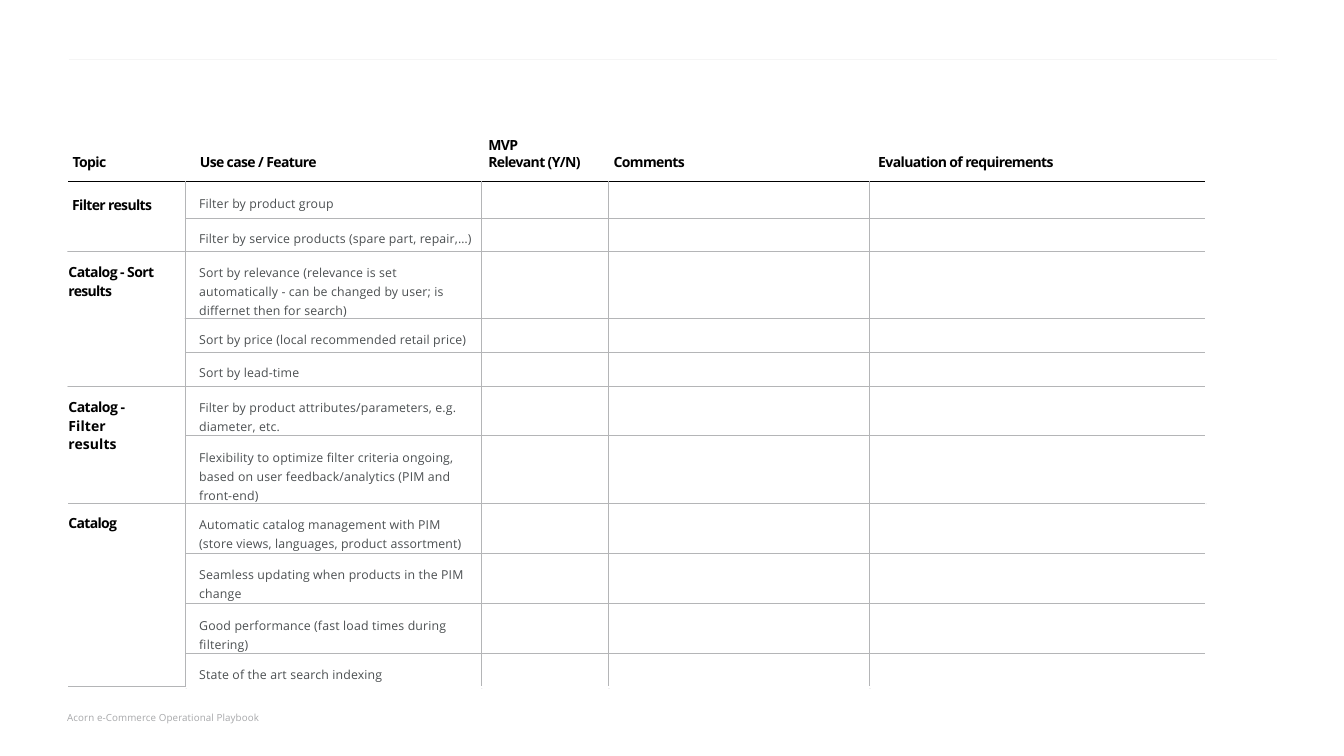
"""Build the catalog requirements checklist slide."""
from lxml.etree import SubElement
from pptx import Presentation
from pptx.dml.color import RGBColor
from pptx.enum.shapes import MSO_CONNECTOR as CONNECTOR, MSO_SHAPE as SHAPE
from pptx.oxml.ns import qn
from pptx.util import Inches, Pt

BLACK = RGBColor(0, 0, 0)
BODY = RGBColor(0x4B, 0x4F, 0x51)
RULE = RGBColor(0xB4, 0xB5, 0xB7)
FOOTER = RGBColor(0xA7, 0xA8, 0xAA)
PALE = RGBColor(0xF5, 0xF5, 0xF5)


def write(tf, text, size=16.5, color=BLACK, bold=True, spacings=(-0.7,), leading=None):
    p = tf.paragraphs[0]
    p.line_spacing = leading
    for i, line in enumerate(text.split("\n")):
        if i:
            p.add_line_break()
        r = p.add_run()
        r.text = line
        r.font.name, r.font.size, r.font.bold = "Open Sans", Pt(size), bold
        r.font.color.rgb = color
        spacing = spacings[min(i, len(spacings) - 1)]
        r.font._element.set("spc", str(round(spacing * 100)))


def set_border(cell, side, color):
    ln = SubElement(cell._tc.get_or_add_tcPr(), qn(f"a:ln{side}"), w=str(Pt(1)))
    if color is None:
        SubElement(ln, qn("a:noFill"))
    else:
        fill = SubElement(ln, qn("a:solidFill"))
        SubElement(fill, qn("a:srgbClr"), val=str(color))


prs = Presentation()
prs.slide_width, prs.slide_height = Inches(21.99), Inches(12.37)
s = prs.slides.add_slide(prs.slide_layouts[6])

line = s.shapes.add_connector(CONNECTOR.STRAIGHT, Inches(1.13), Inches(0.96), Inches(20.89), Inches(0.96))
line.line.color.rgb, line.line.width = PALE, Pt(0.25)
SubElement(line._element.spPr, qn("a:effectLst"))

HEADING = {}
labels = [
    ("Topic", 1.18, 2.51, 0.8, 0.3, HEADING),
    ("Use case / Feature", 3.26, 2.51, 2.3, 0.3, HEADING),
    ("MVP\nRelevant (Y/N)", 7.98, 2.23, 1.8, 0.58, {"leading": Pt(19.8)}),
    ("Comments", 10.03, 2.51, 1.5, 0.3, HEADING),
    ("Evaluation of requirements", 14.36, 2.51, 3.3, 0.3, HEADING),
    ("Acorn e-Commerce Operational Playbook", 1.09, 11.64, 3.6, 0.25,
     {"size": 11.5, "color": FOOTER, "bold": False, "spacings": (0.1,)}),
]
for text, left, top, width, height, style in labels:
    tf = s.shapes.add_textbox(Inches(left), Inches(top), Inches(width), Inches(height)).text_frame
    tf.word_wrap = True
    tf.margin_left = tf.margin_top = Inches(0.01)
    tf.margin_right = tf.margin_bottom = 0
    write(tf, text, **style)

col_widths = [1.92, 4.83, 2.09, 4.26, 5.49]
features = [
    (0.61, 0.24, "Filter by product group"),
    (0.54, 0.2, "Filter by service products (spare part, repair,…)"),
    (1.1, 0.18, "Sort by relevance (relevance is set\nautomatically - can be changed by user; is\n"
                "differnet then for search)"),
    (0.56, 0.22, "Sort by price (local recommended retail price)"),
    (0.55, 0.2, "Sort by lead-time"),
    (0.81, 0.17, "Filter by product attributes/parameters, e.g.\ndiameter, etc."),
    (1.1, 0.18, "Flexibility to optimize filter criteria ongoing,\nbased on user feedback/analytics (PIM and\n"
                "front-end)"),
    (0.82, 0.18, "Automatic catalog management with PIM\n(store views, languages, product assortment)"),
    (0.82, 0.18, "Seamless updating when products in the PIM\nchange"),
    (0.82, 0.2, "Good performance (fast load times during\nfiltering)"),
    (0.54, 0.22, "State of the art search indexing"),
]
topics = [
    (2, 0.24, 0.06, "Filter results", (-0.75,)),
    (3, 0.19, 0, "Catalog - Sort\nresults", (-0.65, -0.8)),
    (2, 0.18, 0, "Catalog -\nFilter\nresults", (-0.6, 0.1)),
    (4, 0.18, 0, "Catalog", (-0.8,)),
]
last_row, last_col = len(features) - 1, len(col_widths) - 1
frame = s.shapes.add_table(len(features), len(col_widths), Inches(1.12), Inches(2.96), Inches(18.6), Inches(8.28))
table = frame.table
table.first_row = table.horz_banding = False
for col, width in zip(table.columns, col_widths):
    col.width = Inches(width)

for row, (height, top, text) in enumerate(features):
    table.rows[row].height = Inches(height)
    for col in range(len(col_widths)):
        cell = table.cell(row, col)
        cell.margin_left = cell.margin_top = cell.margin_right = cell.margin_bottom = 0
        set_border(cell, "L", RULE if col else None)
        set_border(cell, "R", RULE if col < last_col else None)
        set_border(cell, "T", RULE if row else BLACK)
        set_border(cell, "B", RULE if row < last_row else None)
        cell.fill.background()
    cell = table.cell(row, 1)
    cell.margin_left, cell.margin_top = Inches(0.22), Inches(top)
    write(cell.text_frame, text, size=14.5, color=BODY, bold=False, spacings=(0.17,),
          leading=1.14 if "\n" in text else None)

row = 0
for span, top, left, text, spacings in topics:
    cell = table.cell(row, 0)
    cell.merge(table.cell(row + span - 1, 0))
    cell.margin_left, cell.margin_top = Inches(left), Inches(top)
    write(cell.text_frame, text, spacings=spacings)
    row += span

dots = [(x, 11.26) for x in (3.04, 7.88, 9.96, 14.23)]
dots += [(1.1, 4.11), (1.1, 6.32), (3.02, 5.21), (19.73, 8.24)]
for x, y in dots:
    sp = s.shapes.add_shape(SHAPE.OVAL, Inches(x), Inches(y), Inches(0.01), Inches(0.01))
    sp.shadow.inherit = False
    sp.fill.solid()
    sp.fill.fore_color.rgb = RULE
    sp.line.fill.background()

prs.save("out.pptx")
